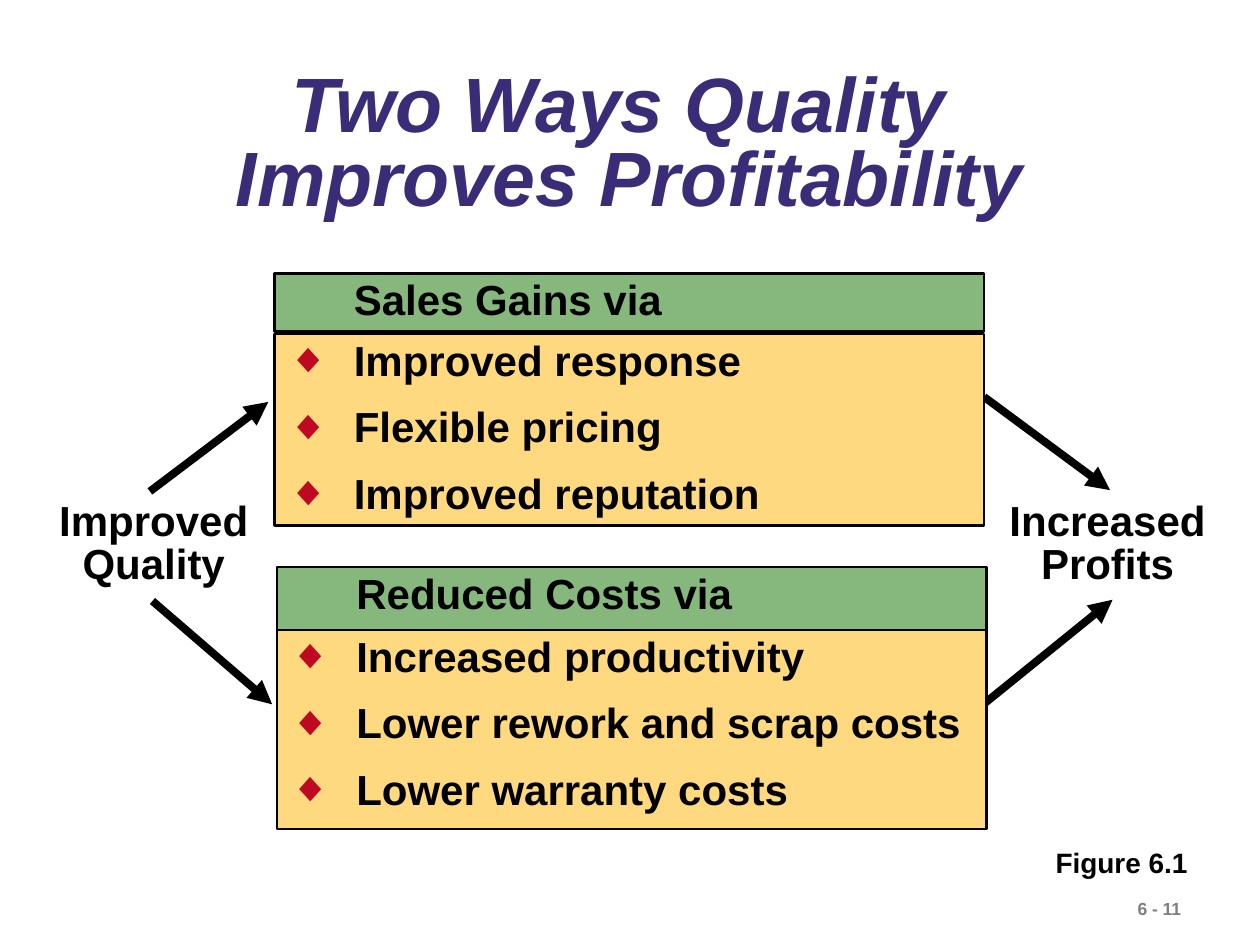
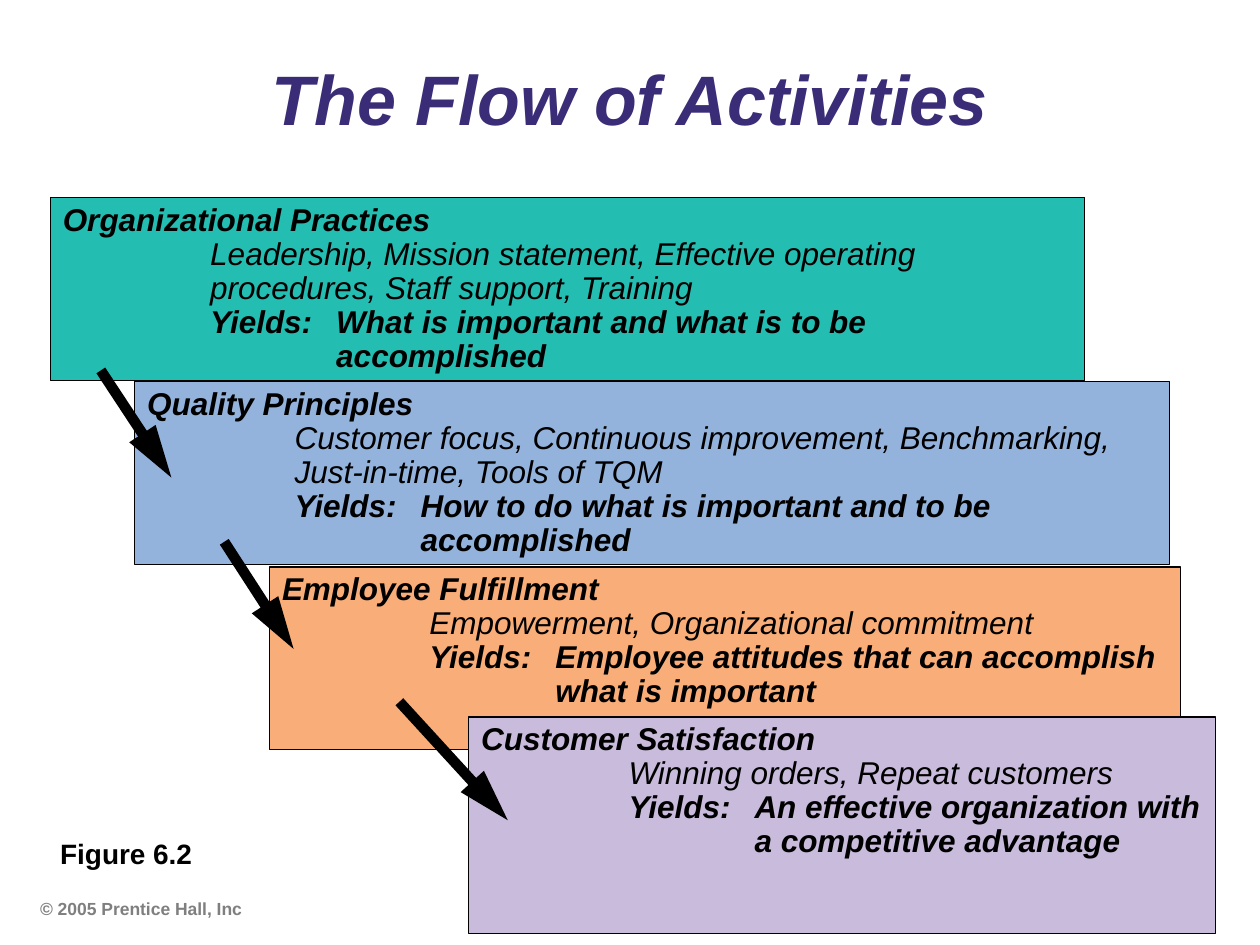
"""Build two slides on how quality improves profitability."""
from dataclasses import dataclass

from lxml import etree
from pptx import Presentation
from pptx.dml.color import RGBColor
from pptx.enum.shapes import MSO_CONNECTOR, MSO_SHAPE
from pptx.enum.text import MSO_ANCHOR, PP_ALIGN
from pptx.oxml.ns import qn
from pptx.util import Inches, Pt

STRAIGHT = MSO_CONNECTOR.STRAIGHT
RECTANGLE = MSO_SHAPE.RECTANGLE
TOP, MIDDLE = MSO_ANCHOR.TOP, MSO_ANCHOR.MIDDLE
LEFT, CENTER = PP_ALIGN.LEFT, PP_ALIGN.CENTER

FONT = "Arial"
BLACK = RGBColor(0x00, 0x00, 0x00)
GRAY = RGBColor(0x7F, 0x7F, 0x7F)
PURPLE = RGBColor(0x3A, 0x2C, 0x76)
RED = RGBColor(0xBF, 0x09, 0x22)
GREEN = RGBColor(0x86, 0xB8, 0x7D)
YELLOW = RGBColor(0xFF, 0xD9, 0x80)
TEAL = RGBColor(0x24, 0xBD, 0xB2)
BLUE = RGBColor(0x93, 0xB3, 0xDD)
ORANGE = RGBColor(0xF9, 0xAD, 0x78)
LILAC = RGBColor(0xC9, 0xBB, 0xDB)

PANEL_WIDTH = 5.63
CAPTION_WIDTH = 1.4
BULLET_INDENT = 0.53
DETAIL_INDENT = 1.17
YIELDS_INDENT = 2.17


@dataclass(frozen=True)
class Box:
    """Position and size in inches."""
    left: float
    top: float
    width: float
    height: float

    def lengths(self) -> tuple:
        """Return the four values as lengths."""
        return tuple(map(Inches, (self.left, self.top, self.width, self.height)))


@dataclass(frozen=True)
class Style:
    """Look of a paragraph and its runs."""
    size: float
    color: RGBColor = BLACK
    bold: bool = True
    italic: bool = False
    align: PP_ALIGN = LEFT
    spacing: float = 1.0
    after: float = 0
    margin: float = 0
    indent: float = 0
    bullet: str = ""


@dataclass(frozen=True)
class Arrow:
    """End points of an arrow in inches."""
    x1: float
    y1: float
    x2: float
    y2: float


@dataclass(frozen=True)
class Panel:
    """A heading band above a bulleted list."""
    head: Box
    body: Box
    heading: str
    items: tuple


@dataclass(frozen=True)
class Stage:
    """One step of the flow of activities."""
    box: Box
    fill: RGBColor
    name: str
    details: str
    yields: str


FOOTER = Style(10, GRAY)
CAPTION = Style(16)
TIGHT_CAPTION = Style(16, spacing=0.9)
OUTCOME = Style(24, align=CENTER, spacing=0.85)
HEADING = Style(24, spacing=0.9, margin=BULLET_INDENT)
ITEM = Style(24, spacing=0.9, after=12, margin=BULLET_INDENT,
             indent=-BULLET_INDENT, bullet="◆")
STAGE_NAME = Style(18, italic=True, spacing=0.9)
STAGE_DETAILS = Style(18, bold=False, italic=True, spacing=0.9, margin=DETAIL_INDENT)
STAGE_YIELDS = Style(18, italic=True, spacing=0.9, margin=YIELDS_INDENT,
                     indent=DETAIL_INDENT - YIELDS_INDENT)

PANELS = (
    Panel(Box(2.2, 4.5, PANEL_WIDTH, 0.5), Box(2.2, 5, PANEL_WIDTH, 1.58),
          "Reduced Costs via",
          ("Increased productivity", "Lower rework and scrap costs",
           "Lower warranty costs")),
    Panel(Box(2.18, 2.17, PANEL_WIDTH, 0.46), Box(2.18, 2.65, PANEL_WIDTH, 1.52),
          "Sales Gains via",
          ("Improved response", "Flexible pricing", "Improved reputation")),
)
OUTCOMES = (
    (Box(0.33, 3.94, 1.78, 0.79), "Improved Quality"),
    (Box(7.85, 3.94, 1.88, 0.79), "Increased Profits"),
)
PROFIT_ARROWS = (
    Arrow(1.19, 3.9, 2.13, 3.19),
    Arrow(1.21, 4.77, 2.16, 5.59),
    Arrow(7.81, 3.15, 8.81, 3.89),
    Arrow(7.78, 5.61, 8.83, 4.76),
)
STAGES = (
    Stage(Box(0.4, 1.57, 8.21, 1.45), TEAL, "Organizational Practices",
          "Leadership, Mission statement, Effective operating procedures, "
          "Staff support, Training",
          "What is important and what is to be\naccomplished"),
    Stage(Box(1.07, 3.03, 8.21, 1.45), BLUE, "Quality Principles",
          "Customer focus, Continuous improvement, Benchmarking, "
          "Just-in-time, Tools of TQM",
          "How to do what is important and to be\naccomplished"),
    Stage(Box(2.14, 4.5, 7.23, 1.45), ORANGE, "Employee Fulfillment",
          "Empowerment, Organizational commitment",
          "Employee attitudes that can accomplish\nwhat is important"),
    Stage(Box(3.72, 5.69, 5.93, 1.72), LILAC, "Customer Satisfaction",
          "Winning orders, Repeat customers",
          "An effective organization with\na competitive advantage"),
)
STAGE_ARROWS = (
    Arrow(0.8, 2.94, 1.36, 3.79),
    Arrow(1.78, 4.3, 2.33, 5.15),
    Arrow(3.17, 5.57, 4.03, 6.51),
)


def format_paragraph(p, style: Style, tabbed: bool) -> None:
    """Apply spacing, indents, bullet and tab stop to a paragraph."""
    p.alignment = style.align
    p.line_spacing = style.spacing
    p.space_after = Pt(style.after)
    pPr = p._p.get_or_add_pPr()
    pPr.set("marL", str(Inches(style.margin)))
    pPr.set("indent", str(Inches(style.indent)))
    if style.bullet:
        color = etree.SubElement(pPr, qn("a:buClr"))
        etree.SubElement(color, qn("a:srgbClr"), val=str(RED))
        etree.SubElement(pPr, qn("a:buFont"), typeface=FONT)
        etree.SubElement(pPr, qn("a:buChar"), char=style.bullet)
    else:
        etree.SubElement(pPr, qn("a:buNone"))
    if tabbed:
        tabs = etree.SubElement(pPr, qn("a:tabLst"))
        etree.SubElement(tabs, qn("a:tab"), pos="0", algn="l")


def write(tf, lines: list, anchor=TOP) -> None:
    """Fill a text frame with (text, style) paragraphs."""
    tf.word_wrap = True
    tf.vertical_anchor = anchor
    for i, (text, style) in enumerate(lines):
        p = tf.add_paragraph() if i else tf.paragraphs[0]
        format_paragraph(p, style, "\t" in text)
        for j, part in enumerate(text.split("\n")):
            if j:
                p.add_line_break()
            r = p.add_run()
            r.text = part
            r.font.name = FONT
            r.font.size = Pt(style.size)
            r.font.bold = style.bold
            r.font.italic = style.italic
            r.font.color.rgb = style.color


def add_text(s, box: Box, text: str, style: Style, anchor=TOP) -> None:
    """Add a text box with one paragraph."""
    sp = s.shapes.add_textbox(*box.lengths())
    write(sp.text_frame, [(text, style)], anchor)


def add_title(s, box: Box, text: str, size: float, spacing: float) -> None:
    """Add the slide title."""
    style = Style(size, PURPLE, italic=True, align=CENTER, spacing=spacing)
    add_text(s, box, text, style, MIDDLE)


def add_box(s, box: Box, fill: RGBColor, line: float, lines: list) -> None:
    """Add a filled, outlined rectangle with text."""
    sp = s.shapes.add_shape(RECTANGLE, *box.lengths())
    sp.shadow.inherit = False
    sp.fill.solid()
    sp.fill.fore_color.rgb = fill
    sp.line.color.rgb = BLACK
    sp.line.width = Pt(line)
    write(sp.text_frame, lines)


def add_arrow(s, arrow: Arrow, width: float, head: str) -> None:
    """Add a straight black arrow with a head of the given length."""
    ends = map(Inches, (arrow.x1, arrow.y1, arrow.x2, arrow.y2))
    line = s.shapes.add_connector(STRAIGHT, *ends)
    line.line.color.rgb = BLACK
    line.line.width = Pt(width)
    etree.SubElement(line.line._get_or_add_ln(), qn("a:tailEnd"),
                     type="triangle", len=head)
    etree.SubElement(line._element.spPr, qn("a:effectLst"))


def add_panel(s, panel: Panel) -> None:
    """Add a bulleted list and its heading band."""
    add_box(s, panel.body, YELLOW, 1.5, [(item, ITEM) for item in panel.items])
    add_box(s, panel.head, GREEN, 1.5, [(panel.heading, HEADING)])


def add_stage(s, stage: Stage) -> None:
    """Add one step of the flow."""
    add_box(s, stage.box, stage.fill, 0.75, [
        (stage.name, STAGE_NAME),
        (stage.details, STAGE_DETAILS),
        (f"Yields:\t{stage.yields}", STAGE_YIELDS),
    ])


def build_profitability(s) -> None:
    """Draw the two ways from quality to profits."""
    add_text(s, Box(8.93, 7.08, 1.07, 0.27), "6 - 11", FOOTER)
    add_title(s, Box(0.75, 0.42, 8.5, 1.5),
              "Two Ways Quality \nImproves Profitability", 44, 0.8)
    for box, text in OUTCOMES:
        add_text(s, box, text, OUTCOME)
    for arrow in PROFIT_ARROWS:
        add_arrow(s, arrow, 4.5, "med")
    for panel in PANELS:
        add_panel(s, panel)
    add_text(s, Box(8.28, 6.66, CAPTION_WIDTH, 0.37), "Figure 6.1", CAPTION)


def build_flow(s) -> None:
    """Draw the cascade of activities."""
    add_title(s, Box(0.75, 0.47, 8.5, 0.7), "The Flow of Activities", 40, 0.9)
    add_stage(s, STAGES[0])
    for stage, arrow in zip(STAGES[1:], STAGE_ARROWS):
        add_stage(s, stage)
        add_arrow(s, arrow, 6, "lg")
    add_text(s, Box(0.38, 6.62, CAPTION_WIDTH, 0.34), "Figure 6.2", TIGHT_CAPTION)
    add_text(s, Box(0.22, 7.08, 4.14, 0.28), "© 2005 Prentice Hall, Inc", FOOTER)


def main() -> None:
    """Build and save the presentation."""
    prs = Presentation()
    prs.slide_width, prs.slide_height = Inches(10), Inches(7.5)
    for build in (build_profitability, build_flow):
        build(prs.slides.add_slide(prs.slide_layouts[6]))
    prs.save("out.pptx")


if __name__ == "__main__":
    main()
